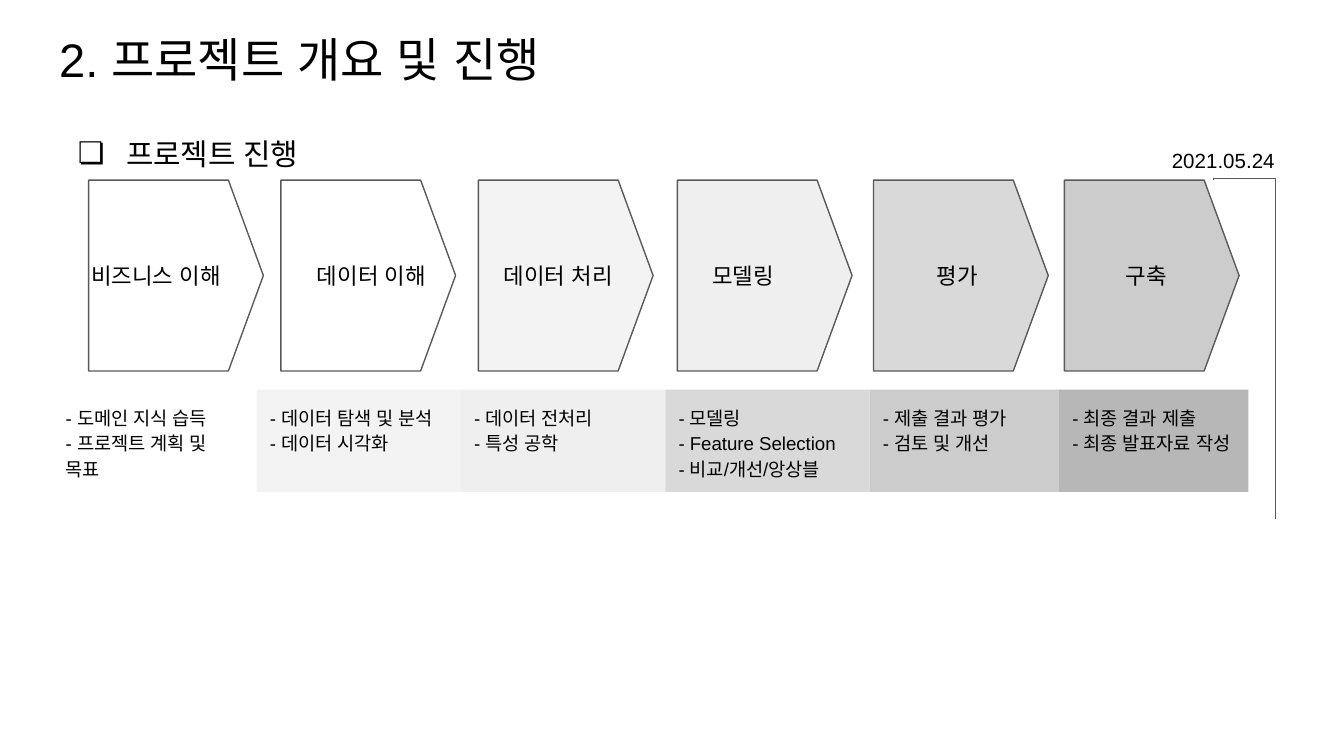
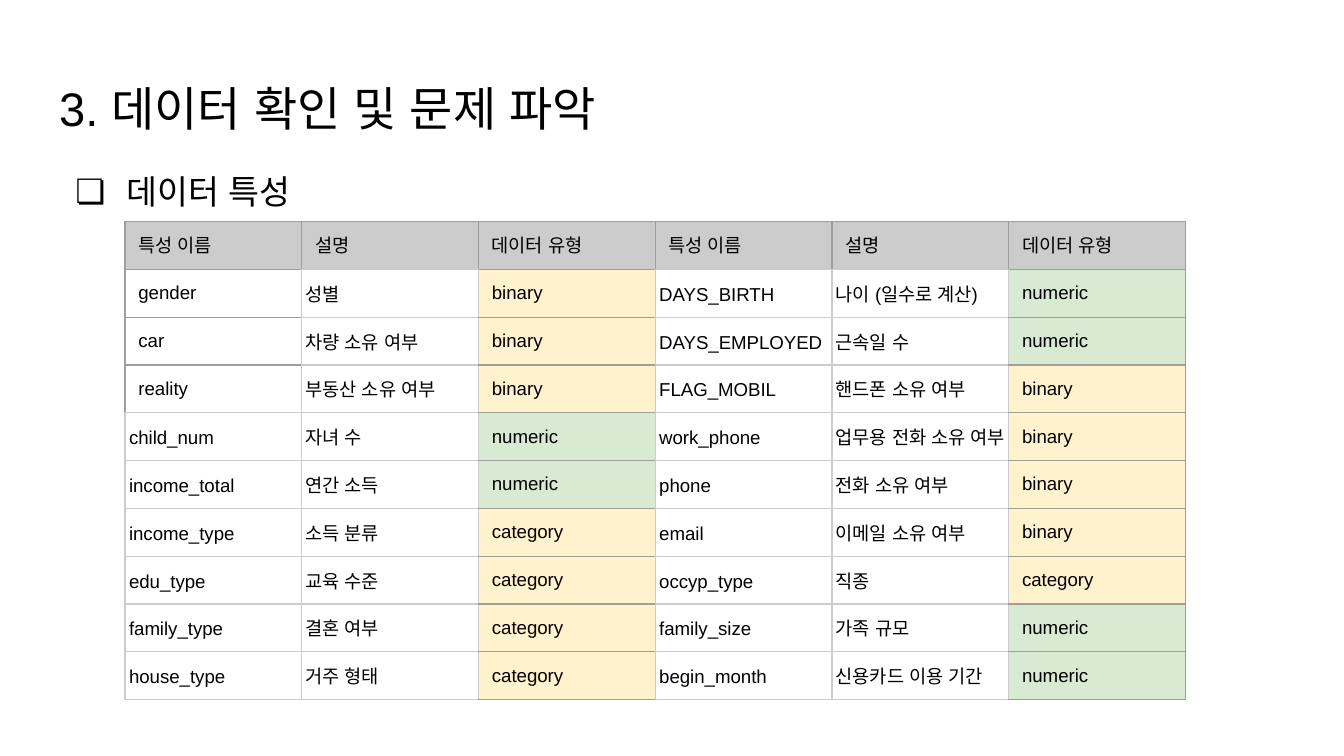
from lxml import etree
from pptx import Presentation
from pptx.dml.color import RGBColor
from pptx.enum.shapes import MSO_CONNECTOR, MSO_SHAPE
from pptx.enum.text import MSO_ANCHOR, MSO_AUTO_SIZE, PP_ALIGN
from pptx.oxml.ns import qn
from pptx.util import Inches, Pt

FONT = "Arial"
BLACK = "000000"
OUTLINE = "595959"
DARK_BORDER, LIGHT_BORDER = "9E9E9E", "CCCCCC"
HEADER_FILL = "CCCCCC"
TYPE_FILLS = {"binary": "FFF2CC", "category": "FFF2CC", "numeric": "D9EAD3"}
ROOMY, SNUG = (0.1, 0.1, 0.1, 0.1), (0.03, 0.02, 0.03, 0.02)

PROCESS_TITLE = "2. 프로젝트 개요 및 진행"
PROCESS_HEADING = "프로젝트 진행"
DEADLINE = "2021.05.24"
# arrow centre, arrow fill, label, label left, label width
PHASES = [
    (1.31, "FFFFFF", "비즈니스 이해", 0.58, 1.35),
    (2.74, "FFFFFF", "데이터 이해", 2.26, 1.26),
    (4.21, "F3F3F3", "데이터 처리", 3.65, 1.15),
    (5.69, "EFEFEF", "모델링", 5.2, 0.94),
    (7.15, "D9D9D9", "평가", 6.87, 0.94),
    (8.57, "CCCCCC", "구축", 8.28, 0.94),
]
# width, fill, tasks
TASK_BOXES = [
    (1.52, "FFFFFF", ["- 도메인 지식 습득", "- 프로젝트 계획 및 목표"]),
    (1.52, "F3F3F3", ["- 데이터 탐색 및 분석", "- 데이터 시각화"]),
    (1.52, "EFEFEF", ["- 데이터 전처리", "- 특성 공학"]),
    (1.52, "D9D9D9", ["- 모델링", "- Feature Selection", "- 비교/개선/앙상블"]),
    (1.41, "CCCCCC", ["- 제출 결과 평가", "- 검토 및 개선"]),
    (1.41, "B7B7B7", ["- 최종 결과 제출", "- 최종 발표자료 작성"]),
]

FEATURE_TITLE = "3. 데이터 확인 및 문제 파악"
FEATURE_HEADING = "데이터 특성"
FEATURE_ROWS = [
    ("특성 이름", "설명", "데이터 유형") * 2,
    ("gender", "성별", "binary", "DAYS_BIRTH", "나이 (일수로 계산)", "numeric"),
    ("car", "차량 소유 여부", "binary", "DAYS_EMPLOYED", "근속일 수", "numeric"),
    ("reality", "부동산 소유 여부", "binary", "FLAG_MOBIL", "핸드폰 소유 여부", "binary"),
    ("child_num", "자녀 수", "numeric", "work_phone", "업무용 전화 소유 여부", "binary"),
    ("income_total", "연간 소득", "numeric", "phone", "전화 소유 여부", "binary"),
    ("income_type", "소득 분류", "category", "email", "이메일 소유 여부", "binary"),
    ("edu_type", "교육 수준", "category", "occyp_type", "직종", "category"),
    ("family_type", "결혼 여부", "category", "family_size", "가족 규모", "numeric"),
    ("house_type", "거주 형태", "category", "begin_month", "신용카드 이용 기간", "numeric"),
]


def color(value):
    return RGBColor.from_string(value)


def place(shape, left, top, width, height):
    shape.left, shape.top = Inches(left), Inches(top)
    shape.width, shape.height = Inches(width), Inches(height)


def set_margins(target, margins):
    """Set left, top, right and bottom margins of a text frame or a cell."""
    (target.margin_left, target.margin_top,
     target.margin_right, target.margin_bottom) = map(Inches, margins)


def write(frame, lines, size, spacing=1.0):
    for index, line in enumerate(lines):
        paragraph = frame.add_paragraph() if index else frame.paragraphs[0]
        paragraph.alignment = PP_ALIGN.LEFT
        paragraph.line_spacing = spacing
        paragraph.space_before = Pt(0)
        run = paragraph.add_run()
        run.text = line
        run.font.name, run.font.size, run.font.bold = FONT, Pt(size), False
        run.font.color.rgb = color(BLACK)
        for script in ("a:ea", "a:cs", "a:sym"):
            tag = etree.SubElement(run._r.get_or_add_rPr(), qn(script))
            tag.set("typeface", FONT)
        order_fonts(run)


def order_fonts(run):
    """Put the font elements in the order that the schema asks for."""
    properties = run._r.get_or_add_rPr()
    for name in ("a:latin", "a:ea", "a:cs", "a:sym"):
        properties.append(properties.find(qn(name)))


def fill_frame(shape, lines, size, spacing=1.0, anchor=MSO_ANCHOR.TOP,
               auto_size=MSO_AUTO_SIZE.SHAPE_TO_FIT_TEXT):
    frame = shape.text_frame
    frame.word_wrap = True
    frame.auto_size = auto_size
    frame.vertical_anchor = anchor
    set_margins(frame, ROOMY)
    write(frame, lines, size, spacing)


def add_text(shapes, text, box, size, spacing=1.0):
    textbox = shapes.add_textbox(*map(Inches, box))
    fill_frame(textbox, [text], size, spacing)
    return textbox


def add_preset(shapes, preset, box, fill, outline=None):
    shape = shapes.add_shape(preset, *map(Inches, box))
    shape.shadow.inherit = False
    shape.fill.solid()
    shape.fill.fore_color.rgb = color(fill)
    if outline:
        shape.line.color.rgb = color(outline)
        shape.line.width = Pt(0.75)
    else:
        shape.line.fill.background()
    return shape


def set_title(slide, text, top):
    place(slide.shapes.title, 0.34, top, 9.32, 0.63)
    fill_frame(slide.shapes.title, [text], 25.2, anchor=MSO_ANCHOR.MIDDLE,
               auto_size=MSO_AUTO_SIZE.NONE)


def add_box_bullet(shape, hanging, size):
    properties = shape.text_frame.paragraphs[0]._p.get_or_add_pPr()
    properties.set("marL", str(Inches(0.5)))
    properties.set("indent", str(-Inches(hanging)))
    bullet_color = etree.SubElement(properties, qn("a:buClr"))
    etree.SubElement(bullet_color, qn("a:srgbClr"), val=BLACK)
    etree.SubElement(properties, qn("a:buSzPts"), val=str(size * 100))
    etree.SubElement(properties, qn("a:buFont"), typeface=FONT)
    etree.SubElement(properties, qn("a:buChar"), char="❏")


def add_deadline_line(shapes):
    left, top, width, height = 8, 2.37, 2.52, 0.46
    line = shapes.add_connector(MSO_CONNECTOR.ELBOW, Inches(left), Inches(top),
                                Inches(left + width), Inches(top + height))
    line.line.color.rgb = color(OUTLINE)
    line.line.width = Pt(0.75)
    properties = line._element.spPr
    etree.SubElement(properties, qn("a:effectLst"))
    frame = properties.find(qn("a:xfrm"))
    frame.set("rot", str(270 * 60000))
    frame.set("flipH", "1")
    adjustments = properties.find(qn("a:prstGeom")).get_or_add_avLst()
    etree.SubElement(adjustments, qn("a:gd"), name="adj1", fmla="val -400")


def build_process_slide(presentation):
    slide = presentation.slides.add_slide(presentation.slide_layouts[5])
    set_title(slide, PROCESS_TITLE, 0.12)

    arrows = slide.shapes.add_group_shape().shapes
    length, breadth, middle = 1.3, 1.42, 2.05
    for center, fill, *_ in reversed(PHASES):
        box = (center - breadth / 2, middle - length / 2, breadth, length)
        arrow = add_preset(arrows, MSO_SHAPE.FLOWCHART_OFFPAGE_CONNECTOR,
                           box, fill, OUTLINE)
        arrow.rotation = 270
        arrow._element.spPr.find(qn("a:xfrm")).set("flipH", "1")
    for _, _, label, left, width in PHASES:
        add_text(arrows, label, (left, 1.85, width, 0.4), 12)

    boxes = slide.shapes.add_group_shape().shapes
    left = 0.39
    for width, fill, tasks in TASK_BOXES:
        box = add_preset(boxes, MSO_SHAPE.RECTANGLE, (left, 2.9, width, 0.76), fill)
        fill_frame(box, tasks, 10, 1.15)
        left += width

    heading = add_text(slide.shapes, PROCESS_HEADING, (0.34, 0.87, 3.28, 0.47), 16, 1.15)
    heading.text_frame.paragraphs[0].space_after = Pt(10)
    add_box_bullet(heading, 0.36, 16)
    add_text(slide.shapes, DEADLINE, (8.62, 1.01, 0.99, 0.39), 11)
    add_deadline_line(slide.shapes)


def border_colors(row, column):
    """Return the left, right, top and bottom border colours of a cell."""
    dark, light = DARK_BORDER, LIGHT_BORDER
    if row == 0:
        return dark, dark, dark, dark if column in (0, 2, 5) else light
    if column in (2, 5):
        return light, dark if column == 5 else light, dark, dark
    if column == 0 and row <= 3:
        return dark, light, dark, light if row == 3 else dark
    return light, light, light, light


def set_borders(cell, colors):
    properties = cell._tc.get_or_add_tcPr()
    for side, value in zip("LRTB", colors):
        line = etree.SubElement(properties, qn(f"a:ln{side}"), w=str(Pt(0.75)))
        solid = etree.SubElement(line, qn("a:solidFill"))
        etree.SubElement(solid, qn("a:srgbClr"), val=value)


def format_cell(cell, text, row, column):
    roomy = row == 0 or column in (2, 5) or (column == 0 and row <= 3)
    set_margins(cell, ROOMY if roomy else SNUG)
    cell.vertical_anchor = MSO_ANCHOR.MIDDLE
    write(cell.text_frame, [text], 10, 1.0 if roomy else 1.15)
    set_borders(cell, border_colors(row, column))
    fill = TYPE_FILLS.get(text) if row else HEADER_FILL
    if fill:
        cell.fill.solid()
        cell.fill.fore_color.rgb = color(fill)
    else:
        cell.fill.background()


def build_feature_slide(presentation):
    slide = presentation.slides.add_slide(presentation.slide_layouts[1])
    set_title(slide, FEATURE_TITLE, 0.49)
    body = slide.placeholders[1]
    place(body, 0.34, 1.13, 9.32, 3.74)
    fill_frame(body, [FEATURE_HEADING], 18, 1.15, auto_size=MSO_AUTO_SIZE.NONE)
    add_box_bullet(body, 0.38, 18)

    row_height = 0.34
    row_count, column_count = len(FEATURE_ROWS), len(FEATURE_ROWS[0])
    table = slide.shapes.add_table(
        row_count, column_count, Inches(0.93), Inches(1.65),
        Inches(7.89), Inches(row_height * row_count)).table
    table.first_row = table.horz_banding = False
    for row, values in enumerate(FEATURE_ROWS):
        table.rows[row].height = Inches(row_height)
        for column, text in enumerate(values):
            format_cell(table.cell(row, column), text, row, column)


def main():
    presentation = Presentation()
    presentation.slide_width = Inches(10)
    presentation.slide_height = presentation.slide_width * 9 // 16
    build_process_slide(presentation)
    build_feature_slide(presentation)
    presentation.save("out.pptx")


if __name__ == "__main__":
    main()
